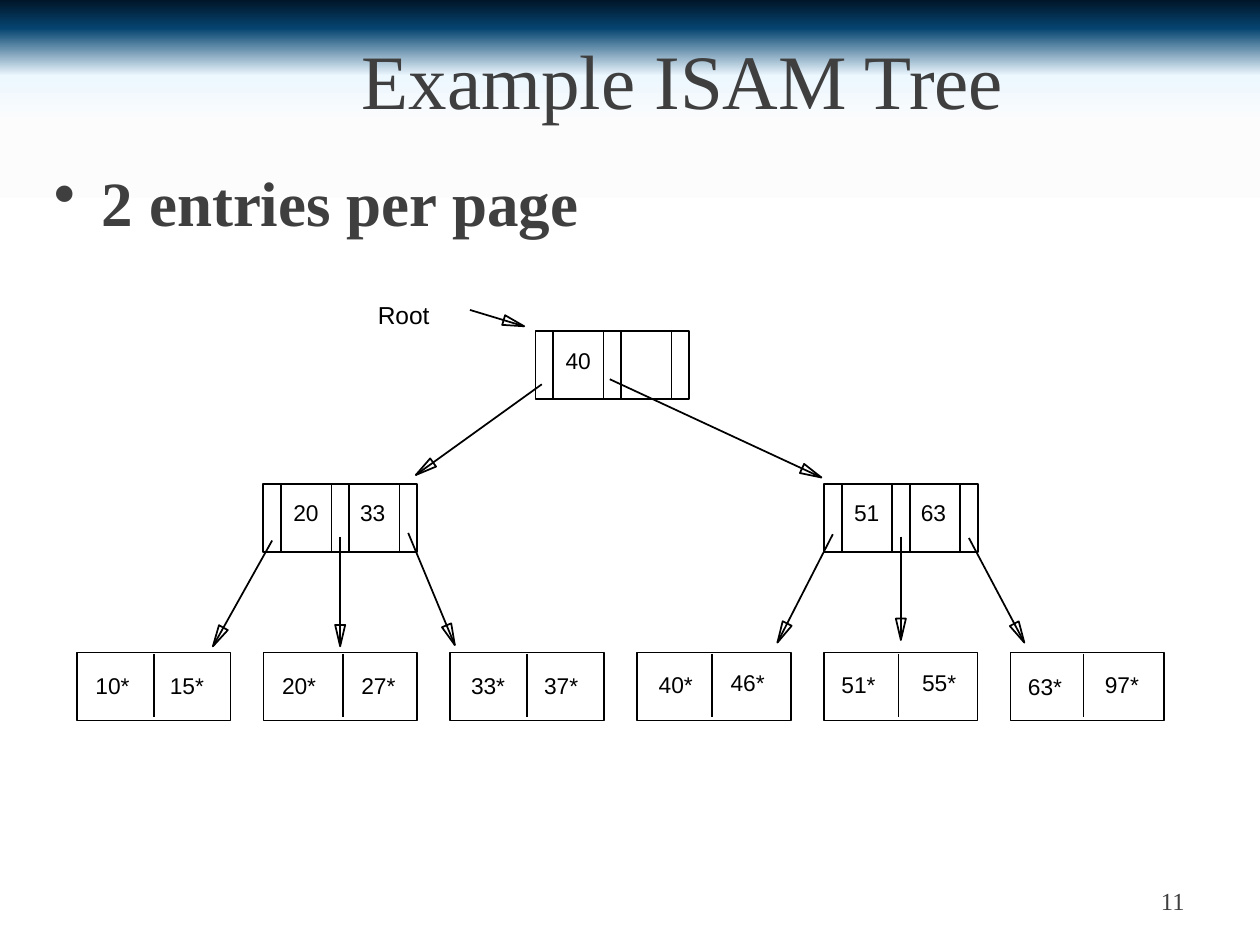
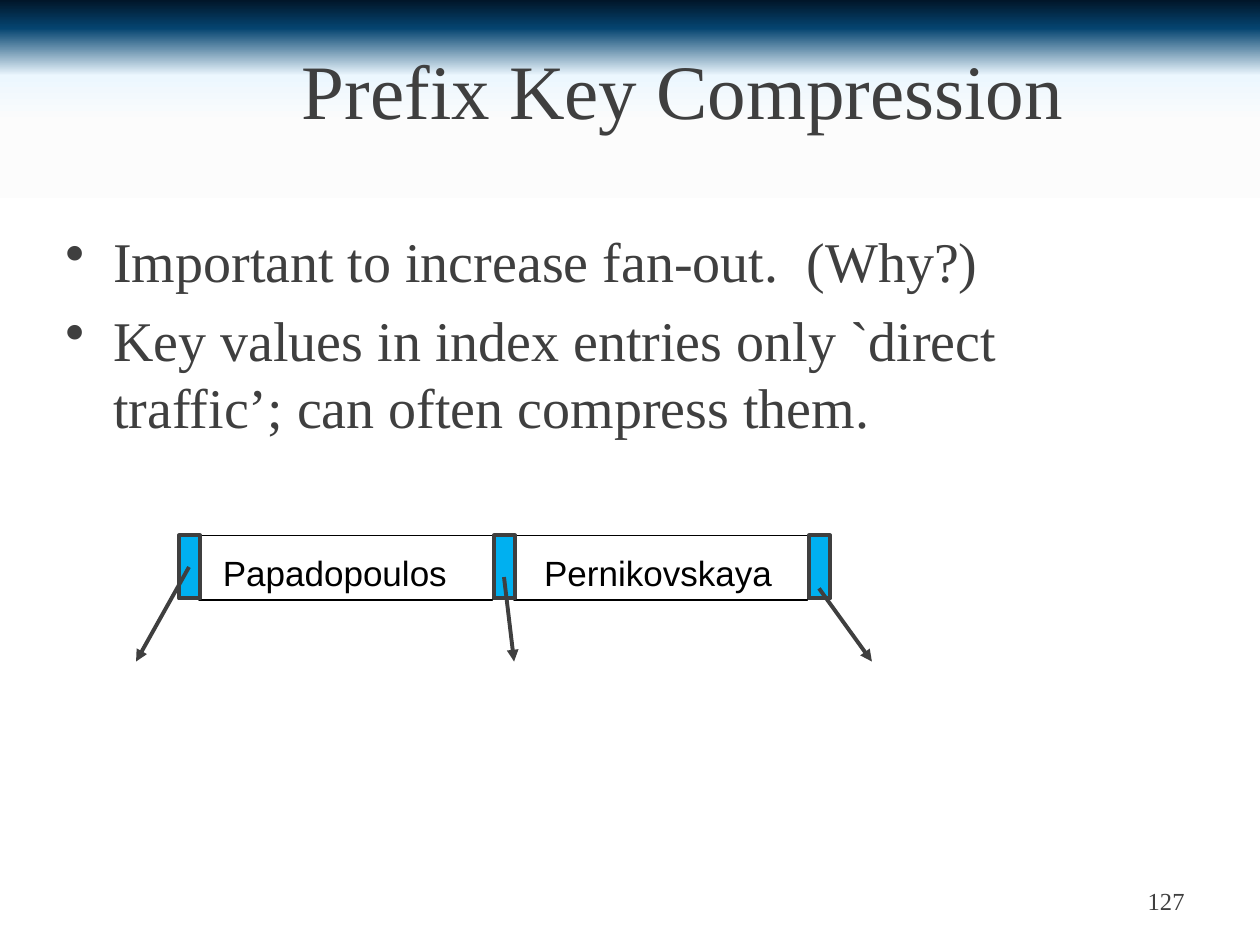
import pptx
import pptx.util
import pptx.dml.color
import pptx.enum.shapes
import pptx.enum.text
import pptx.oxml
import pptx.oxml.ns
import math

Inches, Pt = pptx.util.Inches, pptx.util.Pt
Anchor, Align = pptx.enum.text.MSO_ANCHOR, pptx.enum.text.PP_ALIGN
qn = pptx.oxml.ns.qn
SERIF, SANS = "Times New Roman", "Arial"
COLORS = {"ink": "3F3F3F", "black": "000000", "pointer": "00B0F0"}
SKY = [(0, "011629"), (3, "054470"), (8, "ECF7FE"), (13, "FCFCFC"), (21, "FFFFFF"), (98, "FFFFFF")]


def rgb(name):
    return pptx.dml.color.RGBColor.from_string(COLORS[name])


def add_xml(parent, tag, **attributes):
    child = parent.makeelement(qn(tag), attributes)
    parent.append(child)
    return child


class Painter:
    """Holds the deck, its style and the current page."""

    def __init__(self):
        self.deck = pptx.Presentation()
        self.deck.slide_width, self.deck.slide_height = Inches(10), Inches(7.5)
        self.page = None
        self.paint_background()

    def paint_background(self):
        master = self.deck.slide_master
        fill = master.background.fill
        fill.gradient()
        fill.gradient_angle = 270
        stops = next(master.element.iter(qn("a:gsLst")))
        for stop in list(stops):
            stops.remove(stop)
        for percent, color in SKY:
            stop = add_xml(stops, "a:gs", pos=str(percent * 1000))
            add_xml(stop, "a:srgbClr", val=color)

    def new_page(self, title, title_top, number):
        self.page = self.deck.slides.add_slide(self.deck.slide_layouts[5])
        box = self.page.shapes.title
        box.left, box.top = Inches(1.17), Inches(title_top)
        box.width, box.height = Inches(8.5), Inches(1.25)
        box.text_frame.auto_size = pptx.enum.text.MSO_AUTO_SIZE.NONE
        box.text_frame.vertical_anchor = Anchor.MIDDLE
        self.add_span(box.text_frame.paragraphs[0], title, 44, align=Align.CENTER)
        frame = self.text_box(7.17, 6.95, 2.33, 0.4)
        frame.vertical_anchor = Anchor.MIDDLE
        self.add_span(frame.paragraphs[0], number, 14, align=Align.RIGHT)

    def add_span(self, para, text, size, font=SERIF, color="ink", bold=False, align=Align.LEFT):
        para.alignment = align
        span = para.add_run()
        span.text = text
        span.font.name, span.font.size, span.font.bold = font, Pt(size), bold
        span.font.color.rgb = rgb(color)

    def text_box(self, left, top, width, height):
        box = self.page.shapes.add_textbox(Inches(left), Inches(top), Inches(width), Inches(height))
        box.text_frame.word_wrap = True
        return box.text_frame

    def label(self, text, left, top, width, height=0.32, size=13):
        frame = self.text_box(left, top, width, height)
        frame.word_wrap = False
        frame.auto_size = pptx.enum.text.MSO_AUTO_SIZE.SHAPE_TO_FIT_TEXT
        self.add_span(frame.paragraphs[0], text, size, SANS, "black")

    def bullets(self, items, left, top, width, height, size, bold=False):
        frame = self.text_box(left, top, width, height)
        for index, item in enumerate(items):
            para = frame.add_paragraph() if index else frame.paragraphs[0]
            layout = para._p.get_or_add_pPr()
            layout.set("marL", str(Inches(0.38)))
            layout.set("indent", str(-Inches(0.38)))
            add_xml(layout, "a:buChar", char="•")
            para.space_before = Pt(size * 0.2 if index else 0)
            self.add_span(para, item, size, bold=bold)

    def outline(self, shape, color, weight, fill=None):
        shape.shadow.inherit = False
        if fill:
            shape.fill.solid()
            shape.fill.fore_color.rgb = rgb(fill)
        else:
            shape.fill.background()
        shape.line.color.rgb, shape.line.width = rgb(color), Pt(weight)

    def rectangle(self, left, top, width, height, color="black", weight=1, fill=None):
        shape = self.page.shapes.add_shape(
            pptx.enum.shapes.MSO_SHAPE.RECTANGLE,
            Inches(left), Inches(top), Inches(width), Inches(height))
        self.outline(shape, color, weight, fill)

    def line(self, start, end, color="black", weight=1, arrow=False):
        connector = self.page.shapes.add_connector(
            pptx.enum.shapes.MSO_CONNECTOR.STRAIGHT, *map(Inches, start + end))
        connector.line.color.rgb, connector.line.width = rgb(color), Pt(weight)
        properties = connector._element.spPr
        if arrow:
            add_xml(properties.find(qn("a:ln")), "a:tailEnd", type="triangle")
        add_xml(properties, "a:effectLst")

    def hollow_arrow(self, start, tip):
        """A line that ends in an unfilled triangle."""
        self.line(start, tip)
        length = math.dist(start, tip)
        along_x, along_y = (tip[0] - start[0]) / length, (tip[1] - start[1]) / length
        base_x, base_y = tip[0] - 0.17 * along_x, tip[1] - 0.17 * along_y
        corners = [(base_x - side * along_y, base_y + side * along_x) for side in (0.04, -0.04)]
        builder = self.page.shapes.build_freeform(Inches(tip[0]), Inches(tip[1]), scale=1.0)
        builder.add_line_segments([(Inches(x), Inches(y)) for x, y in corners], close=True)
        self.outline(builder.convert_to_shape(), "black", 1)

    # Parts of the index tree
    def index_node(self, left, top, keys):
        self.rectangle(left, top, 1.22, 0.54)
        for offset in (0.14, 0.54, 0.68, 1.08):
            self.line((left + offset, top), (left + offset, top + 0.54))
        for key, offset in zip(keys, (0.14, 0.67)):
            self.label(key, left + offset, top + 0.07, 0.4)

    def leaf(self, left, divider, entries):
        self.rectangle(left, 5.18, 1.22, 0.54)
        self.line((divider, 5.19), (divider, 5.69))
        for text, x, y in entries:
            self.label(text, x, y, 0.47)


def isam_tree(painter):
    painter.new_page("Example ISAM Tree", 0, "11")
    painter.bullets(["2 entries per page"], 0.33, 1.25, 9.42, 4.5, 36, bold=True)

    # Leaf pages: divider, then each entry with its place
    leaves = [
        (1.22, [("10*", 0.66, 5.28), ("15*", 1.25, 5.28)]),
        (2.72, [("20*", 2.14, 5.28), ("27*", 2.77, 5.28)]),
        (4.18, [("33*", 3.64, 5.28), ("37*", 4.22, 5.28)]),
        (5.65, [("40*", 5.13, 5.27), ("46*", 5.7, 5.26)]),
        (7.13, [("51*", 6.58, 5.27), ("55*", 7.22, 5.26)]),
        (8.6, [("63*", 8.06, 5.29), ("97*", 8.67, 5.27)]),
    ]
    pitch = (8.02 - 0.61) / 5
    for index, (divider, entries) in enumerate(leaves):
        painter.leaf(0.61 + index * pitch, divider, entries)

    # Index pages
    for left, top, keys in [(2.09, 3.84, ["20", "33"]), (6.54, 3.84, ["51", "63"]), (4.25, 2.63, ["40"])]:
        painter.index_node(left, top, keys)
    painter.label("Root", 2.9, 2.33, 0.64, 0.33, 14)

    # Pointers from the root label down to the leaves
    pointers = [
        ((3.73, 2.46), (4.16, 2.59)),
        ((4.3, 3.05), (3.3, 3.77)), ((4.84, 3.01), (6.52, 3.79)),
        ((2.16, 4.29), (1.69, 5.13)), ((2.7, 4.26), (2.7, 5.13)), ((3.24, 4.23), (3.61, 5.12)),
        ((6.61, 4.24), (6.17, 5.1)), ((7.15, 4.26), (7.15, 5.08)), ((7.69, 4.27), (8.13, 5.1)),
    ]
    for start, tip in pointers:
        painter.hollow_arrow(start, tip)


def key_compression(painter):
    painter.new_page("Prefix Key Compression", 0.08, "127")
    painter.bullets(
        ["Important to increase fan-out.  (Why?)",
         "Key values in index entries only `direct traffic’; can often compress them."],
        0.42, 1.75, 8.92, 4.46, 32)

    # Index entry: keys between pointer cells
    for index, (key, left, width) in enumerate([("Papadopoulos", 1.67, 2.14), ("Pernikovskaya", 4.22, 2.17)]):
        painter.rectangle(1.58 + 2.5 * index, 4.25, 2.33, 0.51)
        painter.label(key, left, 4.33, width, 0.44, 20)
    for index, (start, tip) in enumerate([
            ((1.5, 4.5), (1.08, 5.25)), ((4, 4.58), (4.08, 5.25)), ((6.5, 4.67), (6.92, 5.25))]):
        painter.rectangle(1.42 + 2.5 * index, 4.25, 0.17, 0.5, "ink", 2.25, "pointer")
        painter.line(start, tip, "ink", 2.25, arrow=True)


def main():
    painter = Painter()
    isam_tree(painter)
    key_compression(painter)
    painter.deck.save("out.pptx")


if __name__ == "__main__":
    main()
